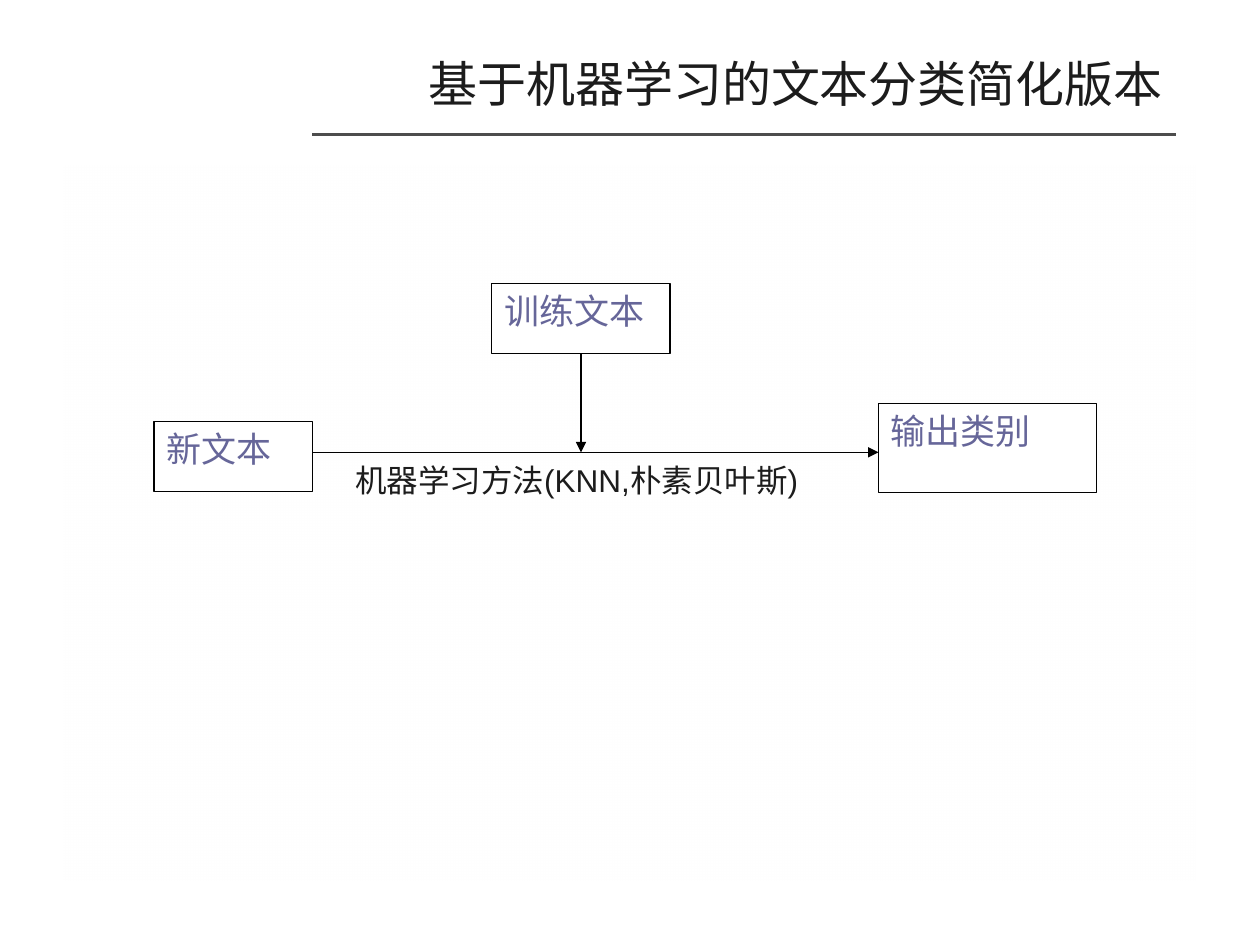
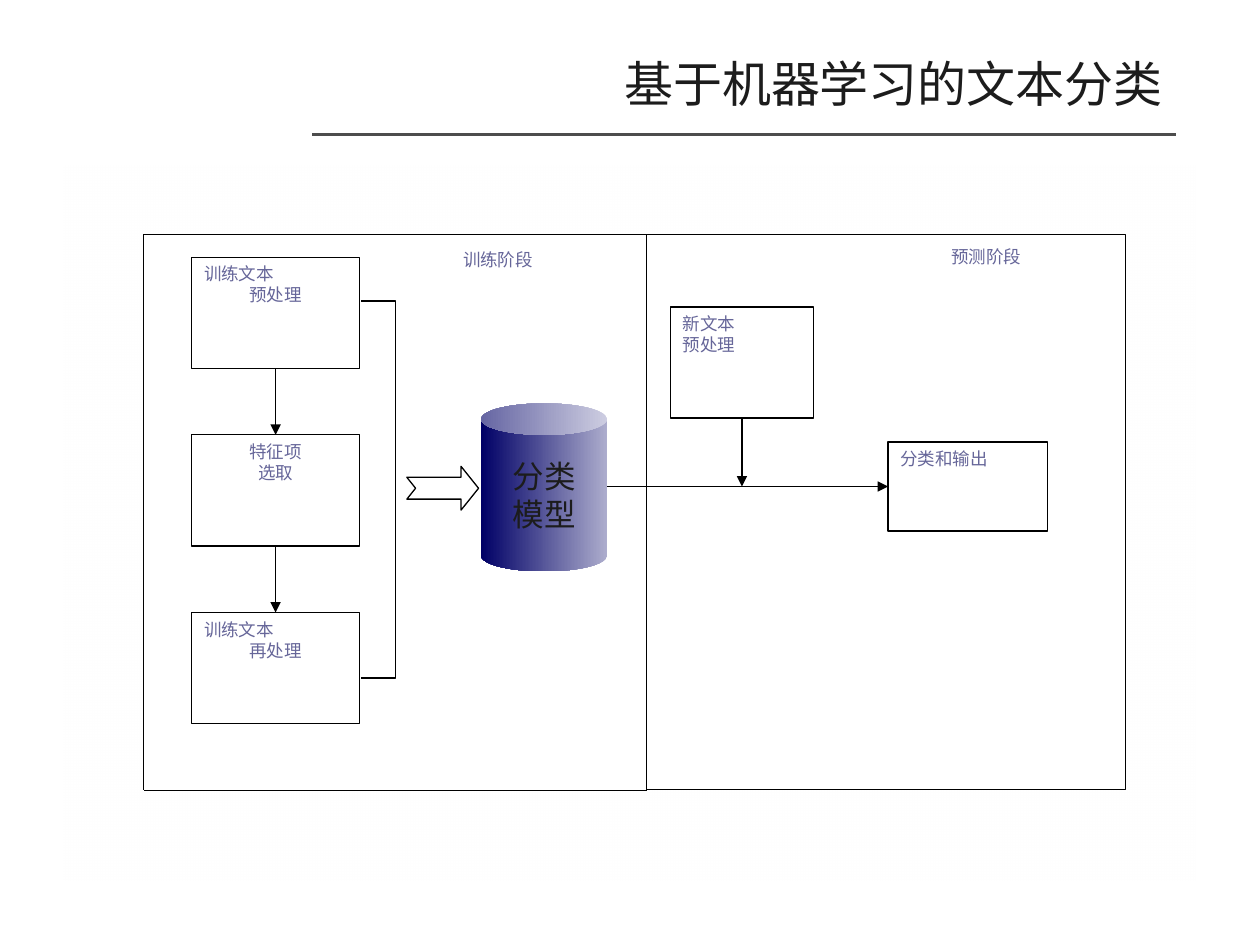
from lxml.etree import SubElement
from pptx import Presentation
from pptx.dml.color import RGBColor
from pptx.enum.dml import MSO_LINE
from pptx.enum.lang import MSO_LANGUAGE_ID
from pptx.enum.shapes import MSO_CONNECTOR, MSO_SHAPE
from pptx.enum.text import MSO_ANCHOR, PP_ALIGN
from pptx.oxml.ns import qn
from pptx.util import Pt

INK = "1C1C1C"
BLACK = "000000"
WHITE = "FFFFFF"
RULE = "4D4D4D"
SLATE = "666699"
LILAC = "ADADCD"
NAVY = "000066"

TOP, LEFT, BOTTOM = 0, 1, 2
LEFT_ALIGNED = PP_ALIGN.JUSTIFY
CENTERED = PP_ALIGN.CENTER


def color(hex_string):
    return RGBColor.from_string(hex_string)


def points(*lengths):
    return [Pt(length) for length in lengths]


def write(frame, lines, aligns, size, font_name, font_color):
    frame.text = "\n".join(lines)
    for paragraph, align in zip(frame.paragraphs, aligns):
        paragraph.alignment = align
        for run in paragraph.runs:
            run.font.size = Pt(size)
            run.font.name = font_name
            run.font.color.rgb = color(font_color)
            run.font.language_id = MSO_LANGUAGE_ID.SIMPLIFIED_CHINESE


def add_preset(slide, preset, place, outline=0.75, dash=None):
    shape = slide.shapes.add_shape(preset, *points(*place))
    shape.shadow.inherit = False
    shape.fill.solid()
    shape.fill.fore_color.rgb = color(WHITE)
    if outline is None:
        shape.line.fill.background()
    else:
        shape.line.color.rgb = color(BLACK)
        shape.line.width = Pt(outline)
        shape.line.dash_style = dash
    return shape


def add_step(slide, place, lines, size, aligns=(LEFT_ALIGNED, LEFT_ALIGNED), outline=0.75):
    step = add_preset(slide, MSO_SHAPE.RECTANGLE, place, outline)
    step.text_frame.vertical_anchor = MSO_ANCHOR.TOP
    write(step.text_frame, lines, aligns, size, "Times New Roman", SLATE)
    return step


def add_line(slide, start, end, line_color=BLACK, width=0.75):
    line = slide.shapes.add_connector(MSO_CONNECTOR.STRAIGHT, *points(*start, *end))
    line.line.color.rgb = color(line_color)
    line.line.width = Pt(width)
    SubElement(line.element.spPr, qn("a:effectLst"))
    return line


def add_arrow(slide, start, end, source=None, target=None, target_side=TOP):
    arrow = add_line(slide, start, end)
    outline = arrow.element.spPr.find(qn("a:ln"))
    SubElement(outline, qn("a:tailEnd"), type="triangle")
    if source is not None:
        arrow.begin_connect(source, BOTTOM)
    if target is not None:
        arrow.end_connect(target, target_side)


def fill_gradient(shape, stop_colors, angle):
    shape.fill.gradient()
    shape.fill.gradient_angle = angle
    for stop, stop_color in zip(shape.fill.gradient_stops, stop_colors):
        stop.color.rgb = color(stop_color)


def add_bracket(slide, left, top, right, bottom):
    builder = slide.shapes.build_freeform(*points(left, top))
    corners = [(right, top), (right, bottom), (left, bottom)]
    builder.add_line_segments([points(*corner) for corner in corners], close=False)
    bracket = builder.convert_to_shape()
    bracket.shadow.inherit = False
    bracket.fill.background()
    bracket.line.color.rgb = color(BLACK)
    bracket.line.width = Pt(0.75)


def prepare_layout(layout):
    for placeholder in list(layout.placeholders):
        if placeholder.placeholder_format.idx != 0:
            layout.shapes.element.remove(placeholder.element)
    title = layout.placeholders[0]
    title.left, title.top, title.width, title.height = points(49.5, 25, 622, 45)
    title.text_frame.vertical_anchor = MSO_ANCHOR.MIDDLE


def move_to_layout(layout, *decorations):
    for position, decoration in enumerate(decorations, start=2):
        layout.shapes.element.insert(position, decoration.element)


def add_shared_frame(slide):
    backdrop = add_preset(slide, MSO_SHAPE.RECTANGLE, (36.5, 94.5, 646.5, 414), outline=None)
    fill_gradient(backdrop, (WHITE, WHITE), 270)
    for stop, alpha in zip(backdrop.element.iter(qn("a:gs")), ("40000", "0")):
        SubElement(stop[0], qn("a:alpha"), val=alpha)
    title_rule = add_line(slide, (178.5, 77), (672, 77), RULE, 0)
    move_to_layout(slide.slide_layout, backdrop, title_rule)


def add_titled_slide(prs, layout, title):
    slide = prs.slides.add_slide(layout)
    write(slide.shapes.title.text_frame, [title], [PP_ALIGN.RIGHT], 28, "Cabin", INK)
    return slide


def draw_simple_flow(slide):
    flow_y = 258.5
    add_step(slide, (88, 241, 90.5, 40), ["新文本"], 20)
    training_text = add_step(slide, (281, 162, 102, 40), ["训练文本"], 20)
    add_arrow(slide, (178.5, flow_y), (502, flow_y))
    add_arrow(slide, (332, 202), (332, flow_y), source=training_text)
    add_step(slide, (502, 230.5, 124.5, 51), ["输出类别"], 20)
    method = slide.shapes.add_textbox(*points(189.5, 260, 280, 29)).text_frame
    method.word_wrap = False
    write(method, ["机器学习方法(KNN,朴素贝叶斯)"], [CENTERED], 18, "Arial", INK)


def draw_training_steps(slide):
    steps = [
        (["训练文本", "预处理"], (LEFT_ALIGNED, CENTERED)),
        (["特征项", "选取"], (CENTERED, CENTERED)),
        (["训练文本", "再处理"], (LEFT_ALIGNED, CENTERED)),
    ]
    previous = None
    for row, (lines, aligns) in enumerate(steps):
        top = 147 + 101.5 * row
        step = add_step(slide, (109.5, top, 96, 63.5), lines, 10, aligns)
        if previous is not None:
            add_arrow(slide, (157.5, top - 38), (157.5, top), previous, step)
        previous = step
    add_bracket(slide, 206.5, 172, 226, 387.5)
    model_input = add_preset(slide, MSO_SHAPE.NOTCHED_RIGHT_ARROW, (232.5, 266.5, 41, 25))
    model_input.adjustments[0] = 0.5
    model_input.adjustments[1] = 0.4


def draw_model(slide):
    model = add_preset(slide, MSO_SHAPE.CAN, (275, 230.5, 72, 96), outline=None)
    model.adjustments[0] = 0.25
    fill_gradient(model, (LILAC, NAVY), 180)
    model.text_frame.word_wrap = False
    model.text_frame.vertical_anchor = MSO_ANCHOR.MIDDLE
    write(model.text_frame, ["分类", "模型"], [CENTERED] * 2, 18, "Arial", INK)


def draw_two_phases(slide):
    for phase_area in [(82, 134, 287.5, 317.5), (369.5, 134, 273.5, 317)]:
        add_preset(slide, MSO_SHAPE.RECTANGLE, phase_area, 0.25, MSO_LINE.ROUND_DOT)
    draw_training_steps(slide)
    add_step(slide, (257.5, 138.5, 98, 38), ["训练阶段"], 10, outline=None)
    add_step(slide, (536.5, 137, 95.5, 50.5), ["预测阶段"], 10, outline=None)
    new_text = add_step(slide, (383, 175.5, 82, 63.5), ["新文本", "预处理"], 10)
    result = add_step(slide, (507.5, 252.5, 91, 51), ["分类和输出"], 10)
    add_arrow(slide, (328.5, 278), (507.5, 278), target=result, target_side=LEFT)
    add_arrow(slide, (424, 239), (424, 278), source=new_text)
    draw_model(slide)


def main():
    prs = Presentation()
    prs.slide_width, prs.slide_height = points(720, 540)
    layout = prs.slide_layouts[5]
    prepare_layout(layout)

    simple_flow = add_titled_slide(prs, layout, "基于机器学习的文本分类简化版本")
    add_shared_frame(simple_flow)
    draw_simple_flow(simple_flow)

    two_phases = add_titled_slide(prs, layout, "基于机器学习的文本分类")
    draw_two_phases(two_phases)
    prs.save("out.pptx")


if __name__ == "__main__":
    main()
